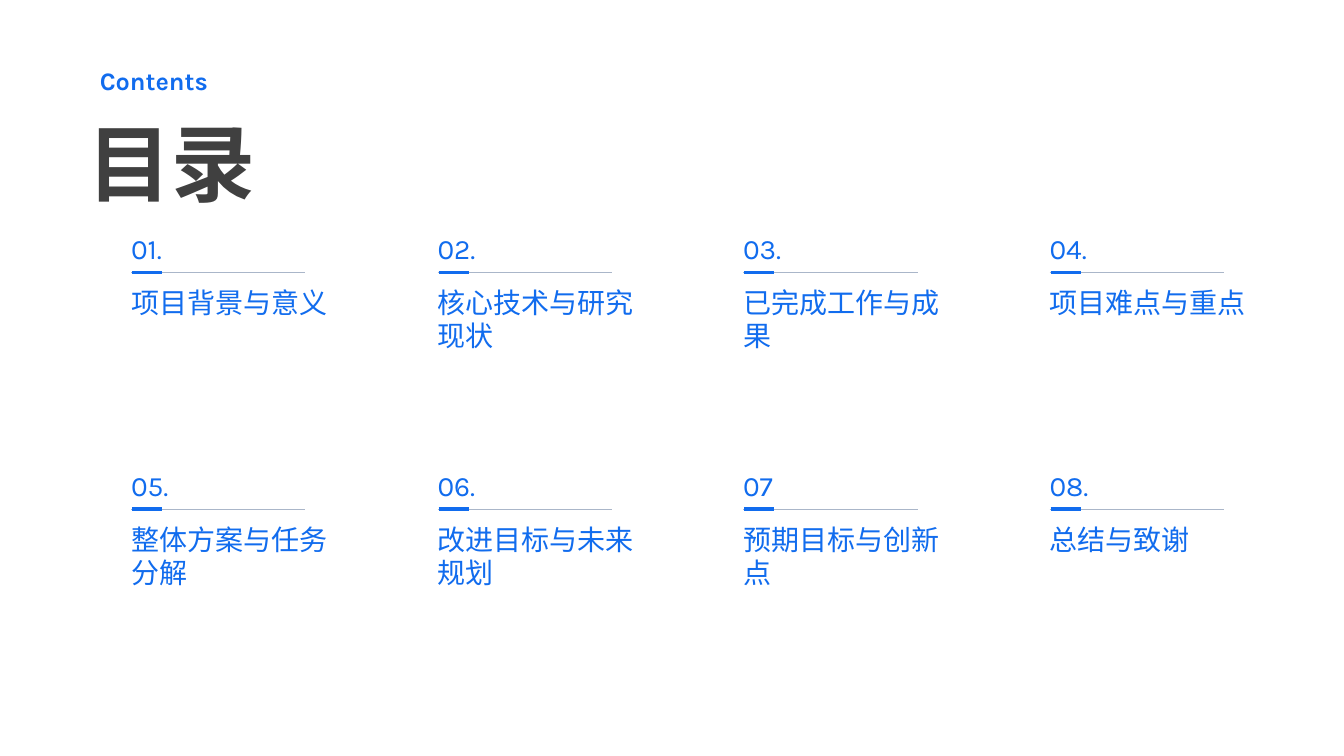
from lxml import etree
from pptx import Presentation
from pptx.dml.color import RGBColor
from pptx.enum.shapes import MSO_CONNECTOR
from pptx.enum.text import MSO_ANCHOR, MSO_AUTO_SIZE, PP_ALIGN
from pptx.oxml.ns import qn
from pptx.util import Pt

PX = 9144  # 100 px to the inch
STRAIGHT = MSO_CONNECTOR.STRAIGHT
TOP, BOTTOM = MSO_ANCHOR.TOP, MSO_ANCHOR.BOTTOM
BLUE, GREY, DARK = "116CEE", "AAB6C9", "404040"


def write_text(shape, text, size, color, anchor, bold=False, inset=0):
    frame = shape.text_frame
    frame.text = text
    frame.word_wrap = True
    frame.auto_size = MSO_AUTO_SIZE.NONE
    frame.vertical_anchor = anchor
    frame.margin_left = inset * PX
    frame.margin_right = frame.margin_top = frame.margin_bottom = 0
    paragraph = frame.paragraphs[0]
    paragraph.alignment = PP_ALIGN.LEFT
    font = paragraph.runs[0].font
    font.name, font.size, font.bold = "Karla", Pt(size), bold
    font.color.rgb = RGBColor.from_string(color)


def add_rule(left, top, width, color, weight):
    rule = slide.shapes.add_connector(
        STRAIGHT, left * PX, top * PX, (left + width) * PX, top * PX)
    rule.line.color.rgb = RGBColor.from_string(color)
    rule.line.width = Pt(weight)
    etree.SubElement(rule._element.spPr, qn("a:effectLst"))


presentation = Presentation()
presentation.slide_width = 1333 * PX
presentation.slide_height = 750 * PX
slide = presentation.slides.add_slide(presentation.slide_layouts[5])

# Heading
title = slide.shapes.title
title.left, title.top, title.width, title.height = 87 * PX, 95 * PX, 204 * PX, 116 * PX
write_text(title, "目录", 60, DARK, BOTTOM, bold=True)
label = slide.shapes.add_textbox(87 * PX, 57 * PX, 204 * PX, 38 * PX)
write_text(label, "Contents", 18, BLUE, BOTTOM, bold=True, inset=12)

# Chapters in a grid of four columns
chapters = [
    ("01.", "项目背景与意义"),
    ("02.", "核心技术与研究现状"),
    ("03.", "已完成工作与成果"),
    ("04.", "项目难点与重点"),
    ("05.", "整体方案与任务分解"),
    ("06.", "改进目标与未来规划"),
    ("07", "预期目标与创新点"),
    ("08.", "总结与致谢"),
]
COLUMNS = 4
FIRST_LEFT, LAST_LEFT = 130, 1041
FIRST_TOP, ROW_STEP = 211, 235

for index, (number, name) in enumerate(chapters):
    row, column = divmod(index, COLUMNS)
    left = FIRST_LEFT + round(column * (LAST_LEFT - FIRST_LEFT) / (COLUMNS - 1))
    top = FIRST_TOP + row * ROW_STEP
    add_rule(left, top + 59, 173, GREY, 0.75)
    add_rule(left + 1, top + 59, 30, BLUE, 2.25)
    number_box = slide.shapes.add_textbox(left * PX, top * PX, 94 * PX, 52 * PX)
    write_text(number_box, number, 20, BLUE, BOTTOM)
    name_box = slide.shapes.add_textbox(left * PX, (top + 72) * PX, 217 * PX, 153 * PX)
    write_text(name_box, name, 20, BLUE, TOP)

presentation.save("out.pptx")
